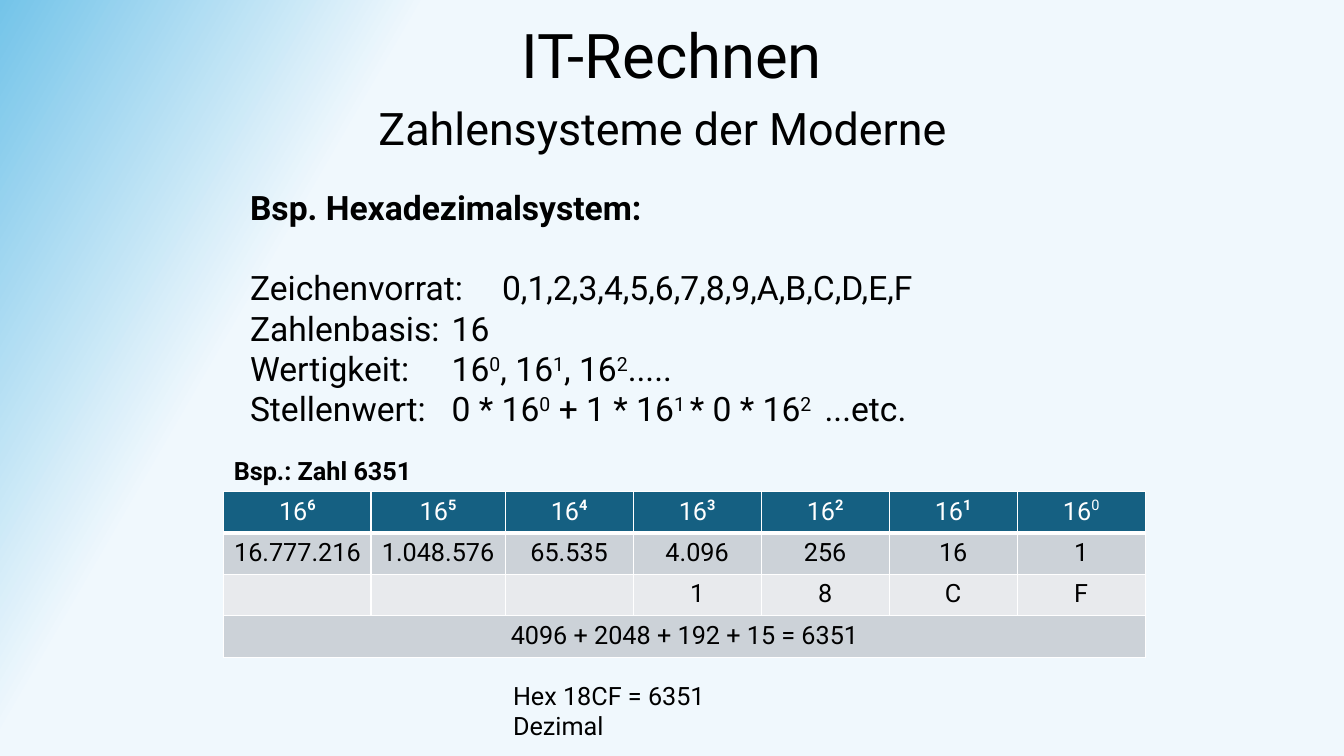
from dataclasses import dataclass

from lxml import etree
from pptx import Presentation
from pptx import util as u
from pptx.dml.color import RGBColor
from pptx.enum import text as t
from pptx.oxml.ns import qn

# Content: text between two ^ marks is superscript
TITLE = "IT-Rechnen"
SUBTITLE = "Zahlensysteme der Moderne"
HEADING = "Bsp. Hexadezimalsystem:"
FACTS = [
    ("Zeichenvorrat:", "0,1,2,3,4,5,6,7,8,9,A,B,C,D,E,F"),
    ("Zahlenbasis:", "16"),
    ("Wertigkeit:", "16^0^, 16^1^, 16^2^....."),
    ("Stellenwert:", "0 * 16^0^ + 1 * 16^1 ^* 0 * 16^2 ^ ...etc."),
]
EXAMPLE = "Bsp.: Zahl 6351"
EXPONENTS = range(6, -1, -1)
PLACE_VALUES = ["16.777.216", "1.048.576", "65.535", "4.096", "256", "16", "1"]
DIGITS = ["", "", "", "1", "8", "C", "F"]
SUM = "4096 + 2048 + 192 + 15 = 6351"
RESULT = "Hex 18CF = 6351 Dezimal"

COLUMN_WIDTHS = [1.46, 1.33] + [1.27] * 5
ROW_HEIGHT = 0.41


@dataclass(frozen=True)
class Theme:
    font: str = "Roboto"
    ink: str = "000000"
    white: str = "FFFFFF"
    header: str = "156082"
    dark_band: str = "CCD2D8"
    light_band: str = "E8EAED"
    sky: str = "74C4E9"
    pale: str = "F0F8FD"
    title: int = 44
    subtitle: int = 32
    body: int = 24
    small: int = 18


THEME = Theme()


def rgb(value):
    return RGBColor.from_string(value)


def write(paragraph, content, size=THEME.small, color=THEME.ink, bold=False,
          align=t.PP_ALIGN.LEFT, raised=30, raised_bold=False, before=0):
    """Fill a paragraph, raising the parts between ^ marks."""
    paragraph.alignment = align
    paragraph.line_spacing = 1.0
    paragraph.space_before = u.Pt(before)
    paragraph.space_after = u.Pt(0)
    for index, part in enumerate(content.split("^")):
        if not part:
            continue
        is_raised = index % 2 == 1
        run = paragraph.add_run()
        run.text = part
        run.font.name = THEME.font
        run.font.size = u.Pt(size)
        run.font.bold = raised_bold if is_raised else bold
        run.font.color.rgb = rgb(color)
        if is_raised:
            run.font._element.set("baseline", str(raised * 1000))


def place(shape, left, top, width, height, anchor=t.MSO_ANCHOR.TOP):
    """Position a text shape and return its prepared text frame."""
    shape.left, shape.top = u.Inches(left), u.Inches(top)
    shape.width, shape.height = u.Inches(width), u.Inches(height)
    frame = shape.text_frame
    frame.word_wrap = True
    frame.auto_size = t.MSO_AUTO_SIZE.NONE
    frame.vertical_anchor = anchor
    return frame


def remove_bullet(paragraph, tab=None):
    properties = paragraph._p.get_or_add_pPr()
    properties.set("marL", "0")
    properties.set("indent", "0")
    etree.SubElement(properties, qn("a:buNone"))
    if tab:
        tabs = etree.SubElement(properties, qn("a:tabLst"))
        etree.SubElement(tabs, qn("a:tab"), pos=str(u.Inches(tab)), algn="l")


def style_cell(cell, fill, bottom=1):
    properties = cell._tc.get_or_add_tcPr()
    for side, width in (("L", 1), ("R", 1), ("T", 1), ("B", bottom)):
        line = etree.SubElement(properties, qn(f"a:ln{side}"), w=str(u.Pt(width)))
        solid = etree.SubElement(line, qn("a:solidFill"))
        etree.SubElement(solid, qn("a:srgbClr"), val=THEME.white)
    cell.fill.solid()
    cell.fill.fore_color.rgb = rgb(fill)


def add_place_value_table(slide):
    rows = [
        ([f"16^{exponent}^" for exponent in EXPONENTS], THEME.header),
        (PLACE_VALUES, THEME.dark_band),
        (DIGITS, THEME.light_band),
        ([SUM] + [""] * (len(DIGITS) - 1), THEME.dark_band),
    ]
    table = slide.shapes.add_table(
        len(rows), len(COLUMN_WIDTHS), u.Inches(2.22), u.Inches(4.88),
        u.Inches(sum(COLUMN_WIDTHS)), u.Inches(ROW_HEIGHT * len(rows))).table
    for column, width in zip(table.columns, COLUMN_WIDTHS):
        column.width = u.Inches(width)
    for row_index, (values, fill) in enumerate(rows):
        is_header = row_index == 0
        table.rows[row_index].height = u.Inches(ROW_HEIGHT)
        for column_index, value in enumerate(values):
            cell = table.cell(row_index, column_index)
            style_cell(cell, fill, bottom=3 if is_header else 1)
            write(cell.text_frame.paragraphs[0], value,
                  color=THEME.white if is_header else THEME.ink,
                  align=t.PP_ALIGN.CENTER, raised=40,
                  raised_bold=value != "16^0^")
    last = len(rows) - 1
    table.cell(last, 0).merge(table.cell(last, len(COLUMN_WIDTHS) - 1))


def main():
    presentation = Presentation()
    presentation.slide_width = u.Inches(13.33)
    presentation.slide_height = u.Inches(7.5)
    slide = presentation.slides.add_slide(presentation.slide_layouts[3])

    # Background, blue in the top left corner
    background = slide.background.fill
    background.gradient()
    background.gradient_angle = 150
    for stop, position, color in zip(background.gradient_stops, (0.76, 1),
                                     (THEME.pale, THEME.sky)):
        stop.position = position
        stop.color.rgb = rgb(color)

    # Title and subtitle
    title, subtitle, facts = slide.placeholders
    frame = place(title, 0, 0.12, 13.33, 0.83, t.MSO_ANCHOR.MIDDLE)
    write(frame.paragraphs[0], TITLE, size=THEME.title, align=t.PP_ALIGN.CENTER)
    frame = place(subtitle, -0.09, 0.95, 13.33, 0.64)
    write(frame.paragraphs[0], SUBTITLE, size=THEME.subtitle,
          align=t.PP_ALIGN.CENTER)
    remove_bullet(frame.paragraphs[0])

    # Facts about the number system
    frame = place(facts, 2.38, 1.8, 8.96, 2.52)
    write(frame.paragraphs[0], HEADING, size=THEME.body, bold=True)
    remove_bullet(frame.paragraphs[0])
    for index, (label, value) in enumerate(FACTS):
        paragraph = frame.add_paragraph()
        write(paragraph, f"{label}\t{value}", size=THEME.body,
              before=28.8 if index == 0 else 0)
        remove_bullet(paragraph, tab=3)

    # Worked example
    add_place_value_table(slide)
    for content, box, bold in ((EXAMPLE, (2.22, 4.47, 2.19, 0.4), True),
                               (RESULT, (4.99, 6.7, 2.97, 0.4), False)):
        text_box = slide.shapes.add_textbox(0, 0, 0, 0)
        write(place(text_box, *box).paragraphs[0], content, bold=bold)

    presentation.save("out.pptx")


if __name__ == "__main__":
    main()
